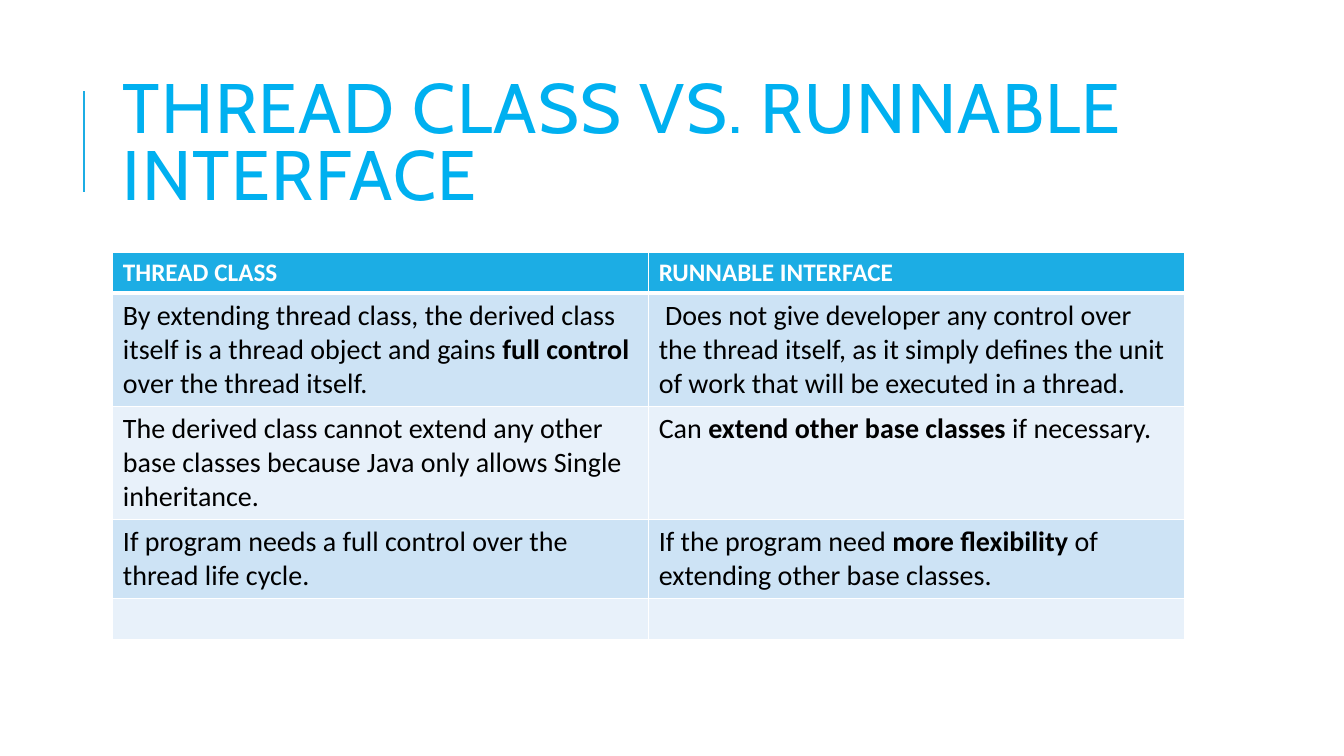
from dataclasses import dataclass

from lxml import etree
from pptx import Presentation
from pptx import util as u
from pptx.dml.color import RGBColor
from pptx.enum import shapes, text
from pptx.oxml import ns


@dataclass(frozen=True)
class Theme:
    title_font: str = "Cabin"
    body_font: str = "Calibri"
    title_size: float = 50
    header_size: float = 18
    body_size: float = 20
    title: str = "00B0F0"
    accent: str = "1CADE4"
    ink: str = "000000"
    white: str = "FFFFFF"
    bands: tuple = ("CDE3F5", "E8F1FA")


class SlideBuilder:
    def __init__(self, slide, theme):
        self.slide = slide
        self.theme = theme

    def style(self, font, name, size, color, bold=None):
        font.name = name
        font.size = u.Pt(size)
        font.color.rgb = RGBColor.from_string(color)
        font.bold = bold

    def rule(self, x, top, bottom):
        accent_rule = self.slide.shapes.add_connector(
            shapes.MSO_CONNECTOR.STRAIGHT, u.Pt(x), u.Pt(bottom), u.Pt(x), u.Pt(top))
        accent_rule.line.color.rgb = RGBColor.from_string(self.theme.accent)
        accent_rule.line.width = u.Pt(1.5)
        etree.SubElement(accent_rule._element.spPr, ns.qn("a:effectLst"))

    def title(self, wording, left, top, width, height):
        heading = self.slide.shapes.title
        heading.left, heading.top = u.Pt(left), u.Pt(top)
        heading.width, heading.height = u.Pt(width), u.Pt(height)
        frame = heading.text_frame
        frame.word_wrap = True
        frame.auto_size = text.MSO_AUTO_SIZE.NONE
        frame.vertical_anchor = text.MSO_ANCHOR.MIDDLE
        line = frame.paragraphs[0]
        line.alignment = text.PP_ALIGN.LEFT
        line.line_spacing = 0.8
        self.style(line.font, self.theme.title_font, self.theme.title_size, self.theme.title)
        words = line.add_run()
        words.text = wording
        words._r.get_or_add_rPr().set("spc", "100")

    def borders(self, cell, bottom_width):
        properties = cell._tc.get_or_add_tcPr()
        widths = {"a:lnL": 1, "a:lnR": 1, "a:lnT": 1, "a:lnB": bottom_width}
        for position, (side, width) in enumerate(widths.items()):
            edge = etree.Element(ns.qn(side), w=str(u.Pt(width)))
            fill = etree.SubElement(edge, ns.qn("a:solidFill"))
            etree.SubElement(fill, ns.qn("a:srgbClr"), val=self.theme.white)
            properties.insert(position, edge)

    def cell(self, cell, wording, is_header, fill):
        theme = self.theme
        cell.fill.solid()
        cell.fill.fore_color.rgb = RGBColor.from_string(fill)
        self.borders(cell, 3 if is_header else 1)
        line = cell.text_frame.paragraphs[0]
        if is_header:
            self.style(line.font, theme.body_font, theme.header_size, theme.white, True)
        elif wording:
            self.style(line.font, theme.body_font, theme.body_size, theme.ink)
        for index, part in enumerate(wording.split("*")):
            if part:
                words = line.add_run()
                words.text = part
                if index % 2:
                    words.font.bold = True

    def table(self, rows, heights, left, top, width):
        columns = len(rows[0])
        comparison = self.slide.shapes.add_table(
            len(rows), columns, u.Pt(left), u.Pt(top), u.Pt(width), u.Pt(sum(heights))).table
        comparison.first_row = True
        comparison.horz_banding = False
        for column in comparison.columns:
            column.width = u.Pt(width / columns)
        for r, (wordings, height) in enumerate(zip(rows, heights)):
            comparison.rows[r].height = u.Pt(height)
            fill = self.theme.bands[(r - 1) % 2] if r else self.theme.accent
            for c, wording in enumerate(wordings):
                self.cell(comparison.cell(r, c), wording, r == 0, fill)


COMPARISON = [
    ("THREAD CLASS", "RUNNABLE INTERFACE"),
    ("By extending thread class, the derived class itself is a thread object and gains "
     "*full control* over the thread itself.",
     " Does not give developer any control over the thread itself, as it simply defines "
     "the unit of work that will be executed in a thread."),
    ("The derived class cannot extend any other base classes because Java only allows "
     "Single inheritance.",
     "Can *extend other base classes *if necessary."),
    ("If program needs a full control over the thread life cycle.",
     "If the program need *more flexibility *of extending other base classes."),
    ("", ""),
]


def main():
    deck = Presentation()
    deck.slide_width, deck.slide_height = u.Pt(960), u.Pt(540)
    slide = deck.slides.add_slide(deck.slide_layouts[5])
    builder = SlideBuilder(slide, Theme())
    builder.rule(60, 65, 137)
    builder.title("THREAD CLASS VS. RUNNABLE INTERFACE", 80.64, 46, 765.5, 118)
    builder.table(COMPARISON, [29, 80.5, 80.5, 56.5, 29], 80.64, 180.3, 765.5)
    deck.save("out.pptx")


if __name__ == "__main__":
    main()
